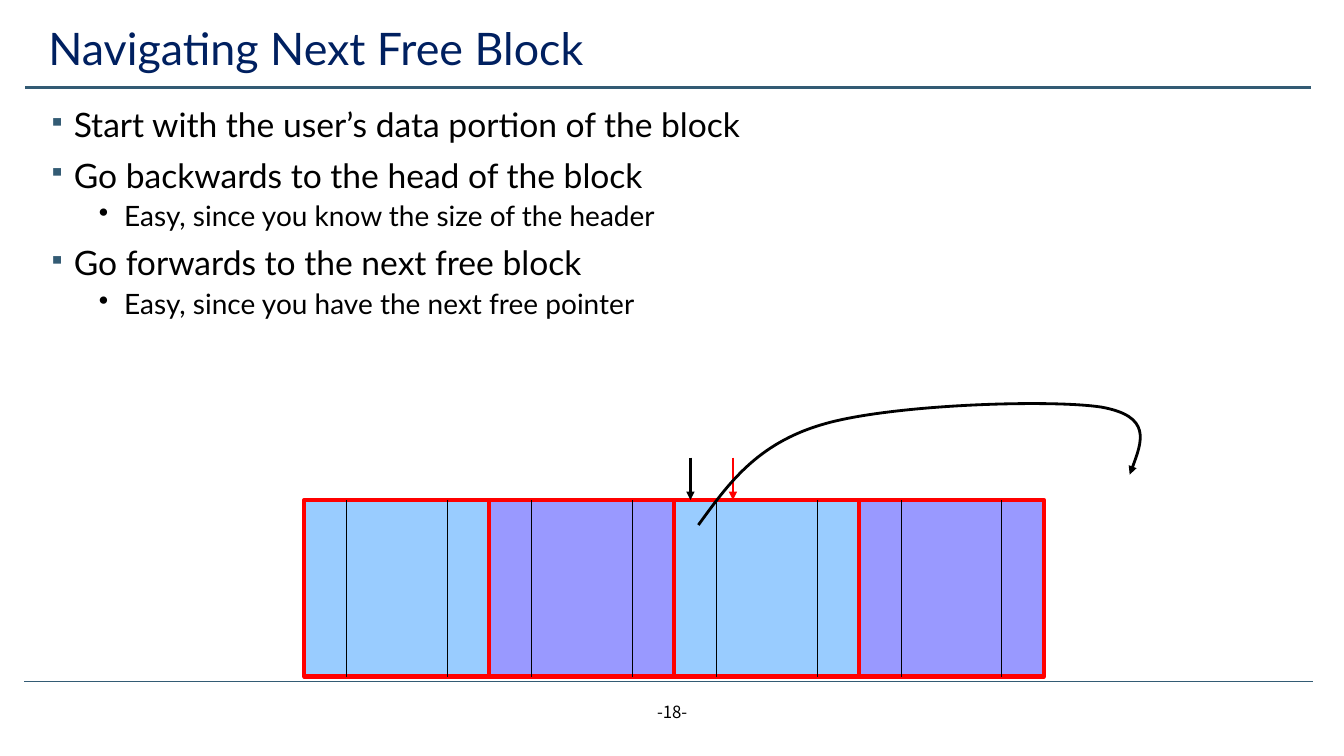
from lxml import etree
from pptx import Presentation
from pptx.dml.color import RGBColor
from pptx.enum.shapes import MSO_CONNECTOR, MSO_SHAPE
from pptx.enum.text import MSO_ANCHOR, PP_ALIGN
from pptx.oxml.ns import qn
from pptx.util import Cm, Pt

STRAIGHT, RECTANGLE = MSO_CONNECTOR.STRAIGHT, MSO_SHAPE.RECTANGLE
TOP, MIDDLE = MSO_ANCHOR.TOP, MSO_ANCHOR.MIDDLE
LEFT, CENTER = PP_ALIGN.LEFT, PP_ALIGN.CENTER

TITLE = "Navigating Next Free Block"
PAGE_NUMBER = "-18-"
BULLETS = [
    (0, "Start with the user’s data portion of the block"),
    (0, "Go backwards to the head of the block"),
    (1, "Easy, since you know the size of the header"),
    (0, "Go forwards to the next free block"),
    (1, "Easy, since you have the next free pointer"),
]
LEVELS = [
    {"size": 24, "before": 10, "indent": 0.64, "char": "▪", "color": "335B74", "percent": 70},
    {"size": 20, "before": 5, "indent": 1.91, "char": "•", "color": "000000", "percent": 100},
]
RULES = [(0.61, 17.17, 33.1, 0.5), (0.64, 2.21, 33.05, 1.75)]
BLOCK_COLORS = ["99CCFF", "9999FF", "99CCFF", "9999FF"]
BLOCK_LEFT, BLOCK_TOP, BLOCK_WIDTH, BLOCK_HEIGHT = 7.67, 12.6, 4.66, 4.45
DIVIDER_OFFSETS = [1.06, 3.6]
POINTERS = [(18.47, "FF0000"), (17.4, "000000")]
POINTER_TOP = 11.53
CURVE = [
    (17.6, 13.23),
    (18.34, 12.22), (19.05, 11.18), (20.75, 10.69),
    (22.45, 10.19), (26.47, 10.06), (27.76, 10.26),
    (29.03, 10.49), (28.75, 11.23), (28.47, 11.96),
]

deck = Presentation()
deck.slide_width, deck.slide_height = Cm(33.87), Cm(19.05)
page = deck.slides.add_slide(deck.slide_layouts[6])


def rgb(color):
    """Turn a hex string into a colour."""
    return RGBColor.from_string(color)


def style_line(shape, color, width, arrow=False):
    """Set the outline and, if asked, an arrowhead at its end."""
    shape.line.color.rgb = rgb(color)
    shape.line.width = Pt(width)
    if arrow:
        outline = shape._element.spPr.find(qn("a:ln"))
        etree.SubElement(outline, qn("a:tailEnd"), type="triangle")


def add_line(start, end, color, width, arrow=False):
    """Draw a straight line without a shadow."""
    line = page.shapes.add_connector(STRAIGHT, *map(Cm, start + end))
    style_line(line, color, width, arrow)
    etree.SubElement(line._element.spPr, qn("a:effectLst"))


def add_box(place, anchor):
    """Add a wrapping text box."""
    box = page.shapes.add_textbox(*map(Cm, place))
    box.text_frame.word_wrap = True
    box.text_frame.vertical_anchor = anchor
    return box


def add_text(para, text, size, color, font="Lato", align=LEFT):
    """Add one styled run to a paragraph."""
    para.alignment = align
    span = para.add_run()
    span.text = text
    span.font.size = Pt(size)
    span.font.name = font
    span.font.color.rgb = rgb(color)


def add_bullet(para, level):
    """Give a paragraph its indent and bullet."""
    props = para._p.get_or_add_pPr()
    props.set("marL", str(Cm(level["indent"])))
    props.set("indent", str(-Cm(0.64)))
    tint = etree.SubElement(props, qn("a:buClr"))
    etree.SubElement(tint, qn("a:srgbClr"), val=level["color"])
    etree.SubElement(props, qn("a:buSzPct"), val=str(level["percent"] * 1000))
    etree.SubElement(props, qn("a:buChar"), char=level["char"])


def add_curve(points):
    """Draw a curved arrow whose points are a start and Bézier triples."""
    places = [(Cm(x), Cm(y)) for x, y in points]
    builder = page.shapes.build_freeform(*places[0])
    builder.add_line_segments(places[1:], close=False)
    curve = builder.convert_to_shape()
    curve.shadow.inherit = False
    curve.fill.background()
    style_line(curve, "000000", 2, arrow=True)
    outline = curve._element.spPr.find(".//" + qn("a:path"))
    steps = outline.findall(qn("a:lnTo"))
    for first in range(0, len(steps), 3):
        bend = etree.SubElement(outline, qn("a:cubicBezTo"))
        for step in steps[first:first + 3]:
            bend.append(step[0])
            outline.remove(step)


for left, top, right, width in RULES:
    add_line((left, top), (right, top), "335B74", width)

number = add_box((13.13, 17.55, 7.62, 1.02), TOP)
add_text(number.text_frame.paragraphs[0], PAGE_NUMBER, 12, "000000", "Noto Sans CJK KR", CENTER)

title = add_box((0.97, 0.48, 31.57, 1.6), MIDDLE)
title.text_frame.paragraphs[0].line_spacing = 0.9
add_text(title.text_frame.paragraphs[0], TITLE, 32, "002060")

body = add_box((0.97, 2.62, 31.57, 14.27), TOP)
body.fill.solid()
body.fill.fore_color.rgb = rgb("FFFFFF")
for index, (depth, text) in enumerate(BULLETS):
    level = LEVELS[depth]
    para = body.text_frame.add_paragraph() if index else body.text_frame.paragraphs[0]
    para.level = depth
    add_bullet(para, level)
    para.line_spacing = 0.9
    para.space_before = Pt(level["before"] if index else 0)
    add_text(para, text, level["size"], "000000")

block_lefts = [BLOCK_LEFT + index * BLOCK_WIDTH for index in range(len(BLOCK_COLORS))]
for left, color in zip(block_lefts, BLOCK_COLORS):
    place = (left, BLOCK_TOP, BLOCK_WIDTH, BLOCK_HEIGHT)
    block = page.shapes.add_shape(RECTANGLE, *map(Cm, place))
    block.shadow.inherit = False
    block.fill.solid()
    block.fill.fore_color.rgb = rgb(color)
    style_line(block, "FF0000", 3)

for left in block_lefts:
    for offset in DIVIDER_OFFSETS:
        x = left + offset
        add_line((x, BLOCK_TOP), (x, BLOCK_TOP + BLOCK_HEIGHT), "000000", 0.75)

for x, color in POINTERS:
    add_line((x, POINTER_TOP), (x, BLOCK_TOP), color, 2, arrow=True)

add_curve(CURVE)
deck.save("out.pptx")
